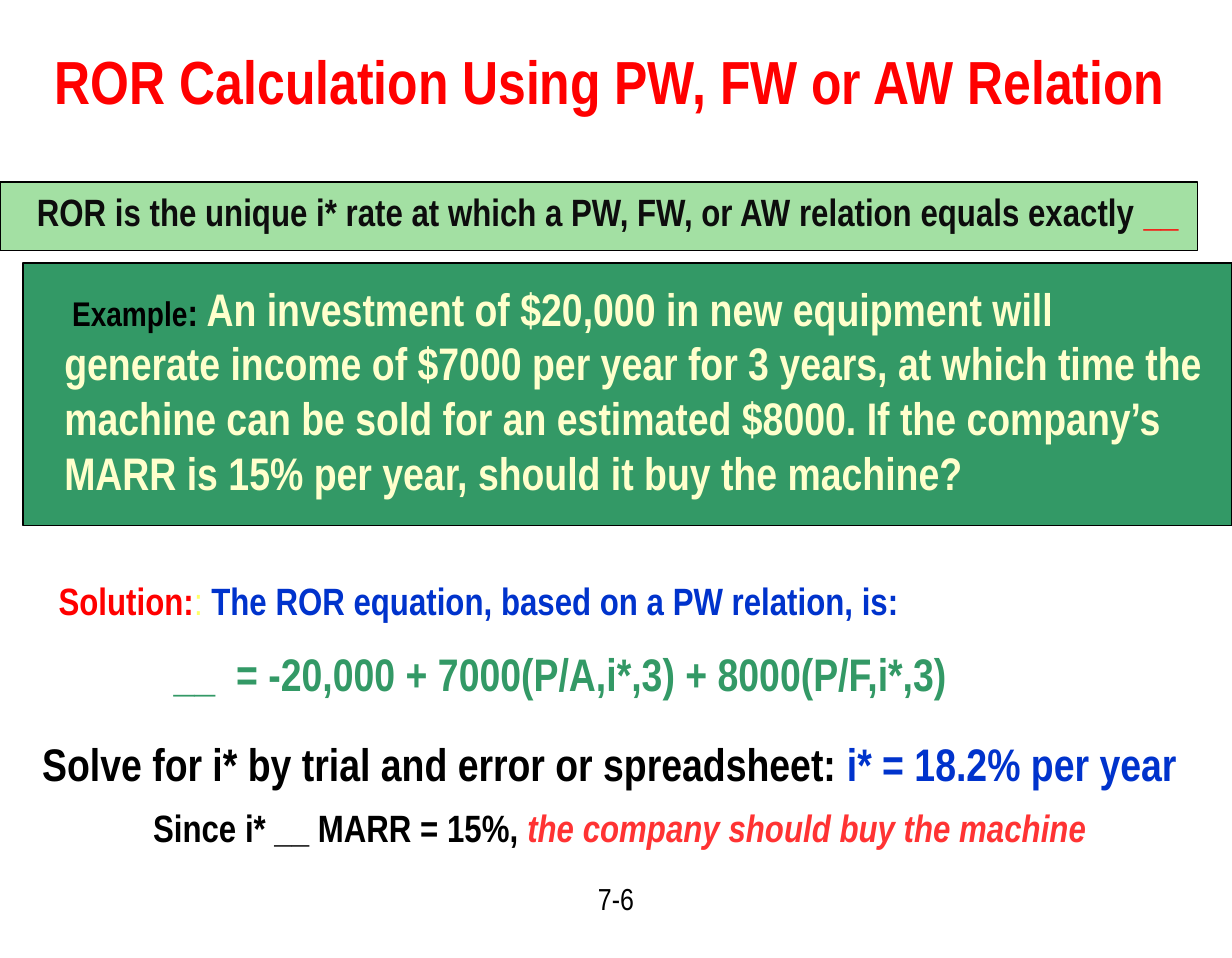
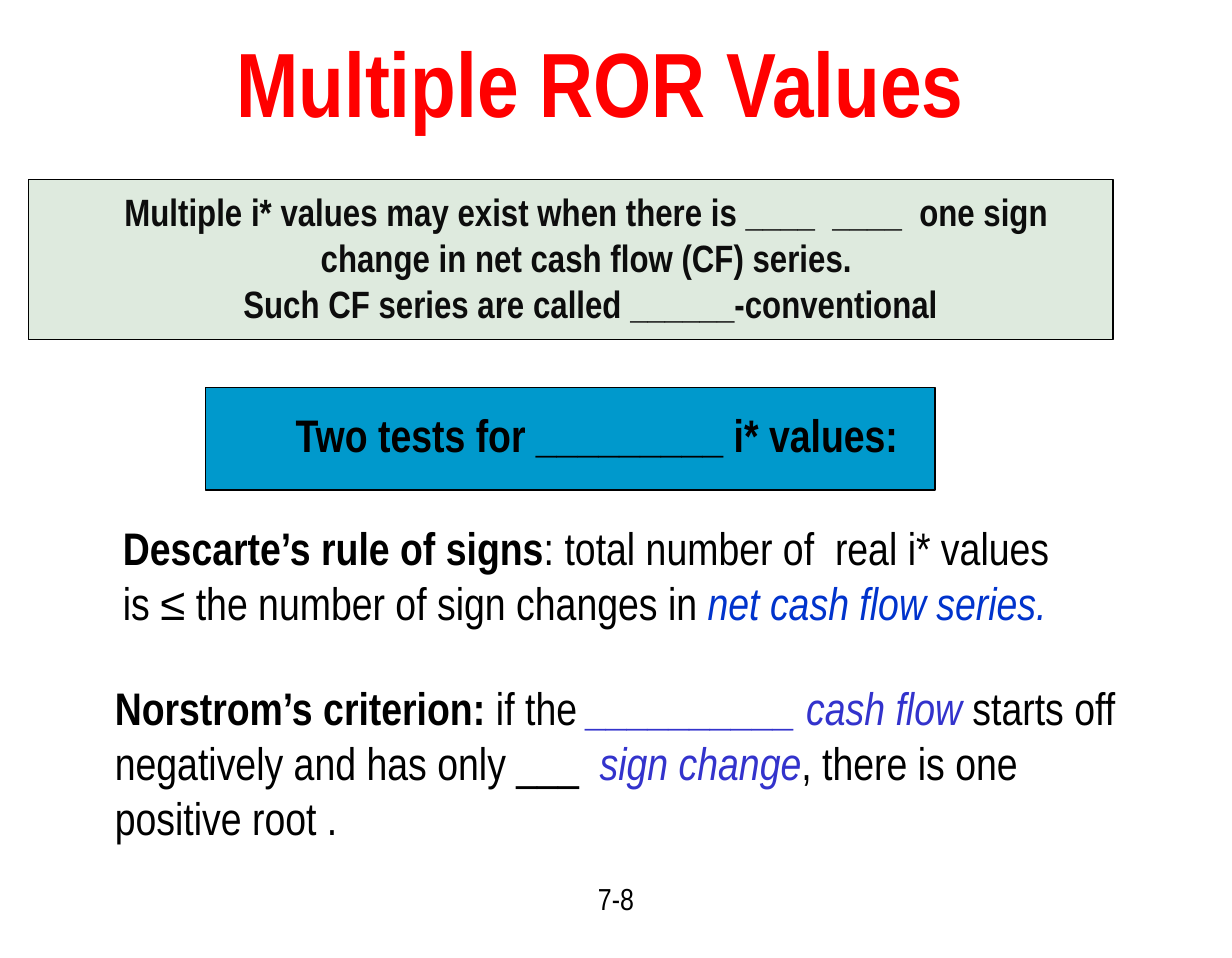
from pptx import Presentation
from pptx.dml.color import RGBColor
from pptx.enum import shapes, text
from pptx.util import Inches, Pt

FONT = "Arial Narrow"
BLACK, INK, RED, CORAL = "000000", "0D0D0D", "FF0000", "FF3333"
BLUE, VIOLET, GREEN = "0033CC", "3333CC", "339966"
CREAM, YELLOW = "FFFFCC", "FFFF66"
MINT, SAGE, CYAN = "A3E0A3", "DEEADE", "0099CC"
TEXT_INSETS = (0.1, 0.05, 0.1, 0.05)
LEFT, CENTER = text.PP_ALIGN.LEFT, text.PP_ALIGN.CENTER


def color(value):
    return RGBColor.from_string(value)


def write(shape, paragraphs, size, align=LEFT, insets=TEXT_INSETS,
          anchor=text.MSO_ANCHOR.TOP):
    """Fill a shape; each paragraph is a list of (words, format values)."""
    frame = shape.text_frame
    left, top, right, bottom = (Inches(inset) for inset in insets)
    settings = {"word_wrap": True, "auto_size": text.MSO_AUTO_SIZE.NONE,
                "vertical_anchor": anchor, "margin_left": left,
                "margin_top": top, "margin_right": right,
                "margin_bottom": bottom}
    for name, value in settings.items():
        setattr(frame, name, value)
    for index, spans in enumerate(paragraphs):
        para = frame.add_paragraph() if index else frame.paragraphs[0]
        para.alignment = align
        for words, changes in spans:
            span = para.add_run()
            span.text = words
            values = {"size": size, "color": BLACK, "bold": True,
                      "italic": False, **changes}
            span.font.color.rgb = color(values.pop("color"))
            values["size"] = Pt(values["size"])
            values["name"] = FONT
            for name, value in values.items():
                setattr(span.font, name, value)


def place(shape, box):
    for name, length in zip(("left", "top", "width", "height"), box):
        setattr(shape, name, Inches(length))


def add_text(page, box, paragraphs, size, **layout):
    shape = page.shapes.add_textbox(*map(Inches, box))
    write(shape, paragraphs, size, **layout)


def add_panel(page, box, fill, paragraphs, size, line_width=0.75, **layout):
    shape = page.shapes.add_shape(shapes.MSO_SHAPE.RECTANGLE,
                                  *map(Inches, box))
    shape.shadow.inherit = False
    shape.fill.solid()
    shape.fill.fore_color.rgb = color(fill)
    shape.line.color.rgb = color(BLACK)
    shape.line.width = Pt(line_width)
    write(shape, paragraphs, size, **layout)


def add_page(deck, title, title_box, title_size, number):
    """Add a slide with the shared title style and page number."""
    page = deck.slides.add_slide(deck.slide_layouts[5])
    place(page.shapes.title, title_box)
    write(page.shapes.title, [[(title, {"color": RED})]], title_size,
          align=CENTER, anchor=text.MSO_ANCHOR.MIDDLE)
    add_text(page, (3.9, 6.38, 1.2, 0.47), [[(number, {"bold": False})]], 16,
             align=CENTER)
    return page


def build_calculation(deck):
    page = add_page(deck, "ROR Calculation Using PW, FW or AW Relation",
                    (0.17, 0.17, 8.58, 0.83), 32, "7-6")
    add_panel(page, (0, 1.33, 8.75, 0.5), MINT, [[
        ("ROR is the unique i* rate at which a PW, FW, or AW relation "
         "equals exactly ", {"color": INK}),
        ("__", {"color": RED}),
    ]], 20, insets=(0.27, 0.05, 0.05, 0.05))
    add_panel(page, (0.17, 1.92, 8.83, 1.92), GREEN, [[
        (" Example", {"size": 18}),
        (": ", {"size": 20}),
        ("An investment of $20,000 in new equipment will generate income of "
         "$7000 per year for 3 years, at which time the machine can be sold "
         "for an estimated $8000. If the company’s MARR is 15% per year, "
         "should it buy the machine?", {"color": CREAM}),
    ]], 24, line_width=1, insets=(0.3, 0.13, 0.1, 0.05))
    add_text(page, (0.33, 4.17, 8.25, 0.44), [[
        ("Solution:", {"color": RED}),
        (": ", {"color": YELLOW, "bold": False}),
        ("The ROR equation, based on a PW relation, is:", {"color": BLUE}),
    ]], 20)
    add_text(page, (1.17, 4.67, 6.25, 0.5), [[
        ("__  = -20,000 + 7000(P/A,i*,3) + 8000(P/F,i*,3)",
         {"color": GREEN}),
    ]], 24)
    add_text(page, (0.21, 5.33, 8.7, 0.5), [[
        ("Solve for i* by trial and error or spreadsheet: ", {}),
        ("i* = 18.2% per year", {"color": BLUE}),
    ]], 24)
    add_text(page, (1.02, 5.83, 7.2, 0.44), [[
        ("Since i* __ MARR = 15%, ", {}),
        ("the company should buy the machine",
         {"color": CORAL, "italic": True}),
    ]], 20)


def build_multiple_values(deck):
    plain = {"bold": False}
    violet = {"bold": False, "italic": True, "color": VIOLET}
    page = add_page(deck, "Multiple ROR Values", (1.01, 0.01, 6.75, 1.17),
                    48, "7-8")
    statement = (
        "Multiple i* values may exist when there is ____  ____  one sign ",
        "change in net cash flow (CF) series. ",
        "Such CF series are called ______-conventional",
    )
    add_panel(page, (0.21, 1.31, 7.92, 1.17), SAGE,
              [[(line, {"color": INK})] for line in statement], 20,
              align=CENTER, insets=(0.6, 0.07, 0.31, 0.05))
    add_panel(page, (1.5, 2.83, 5.33, 0.75), CYAN,
              [[("Two tests for _________ i* values:", {})]], 24,
              insets=(0.66, 0.14, 0.1, 0.05))
    add_text(page, (0.8, 3.75, 7.3, 0.9), [
        [("Descarte’s rule of signs", {}),
         (": total number of  real i* values", plain)],
        [("is ≤ the number of sign changes in ", plain),
         ("net cash flow series.", {**violet, "color": BLUE})],
    ], 24)
    add_text(page, (0.74, 4.92, 7.71, 1.7), [[
        ("Norstrom’s criterion: ", {}),
        ("if the ", plain),
        ("__________ cash flow ", violet),
        ("starts off negatively and has only ___  ", plain),
        ("sign change", violet),
        (", there is one positive root .", plain),
    ]], 24)


def main():
    deck = Presentation()
    deck.slide_width, deck.slide_height = Inches(9), Inches(7)
    build_calculation(deck)
    build_multiple_values(deck)
    deck.save("out.pptx")


if __name__ == "__main__":
    main()
